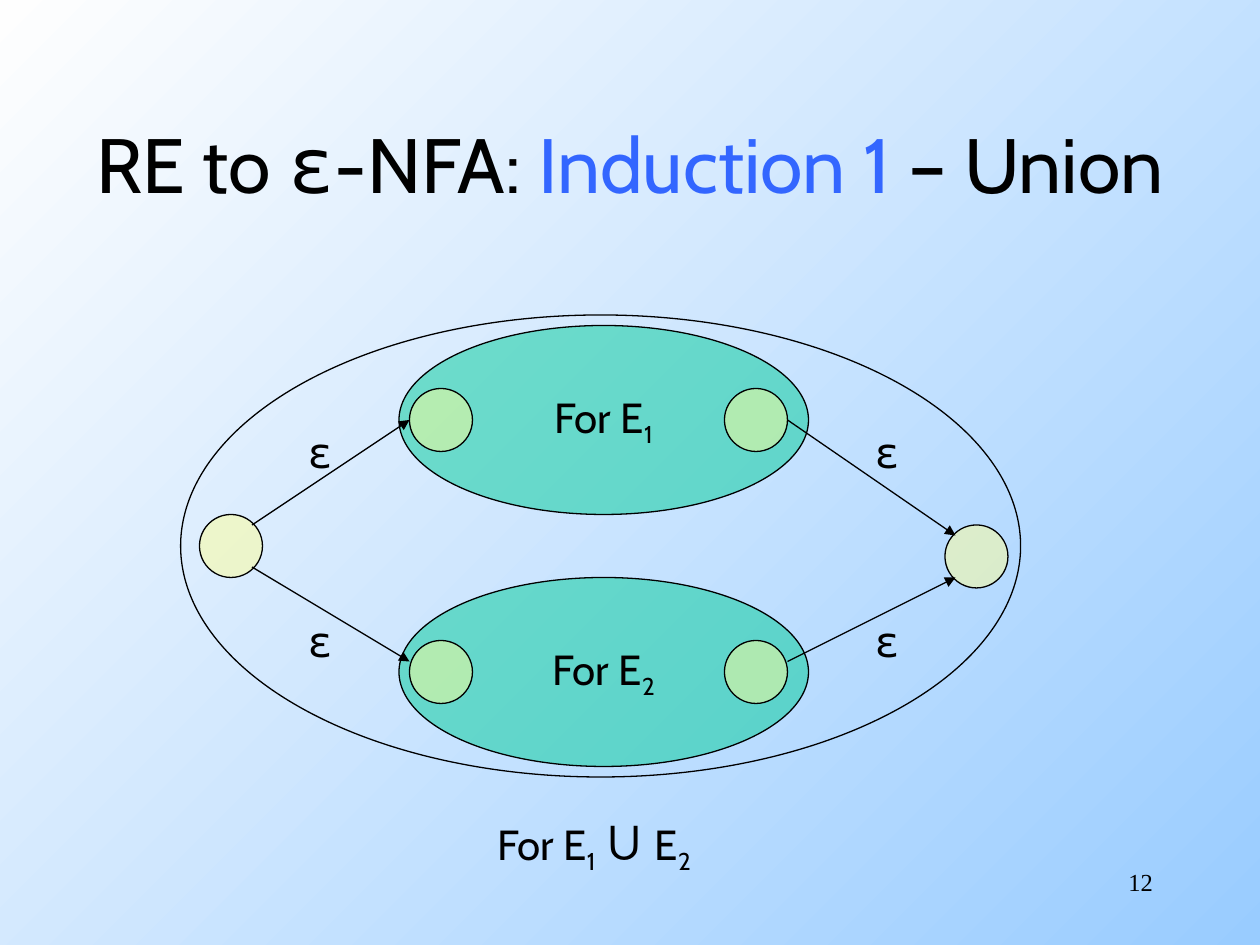
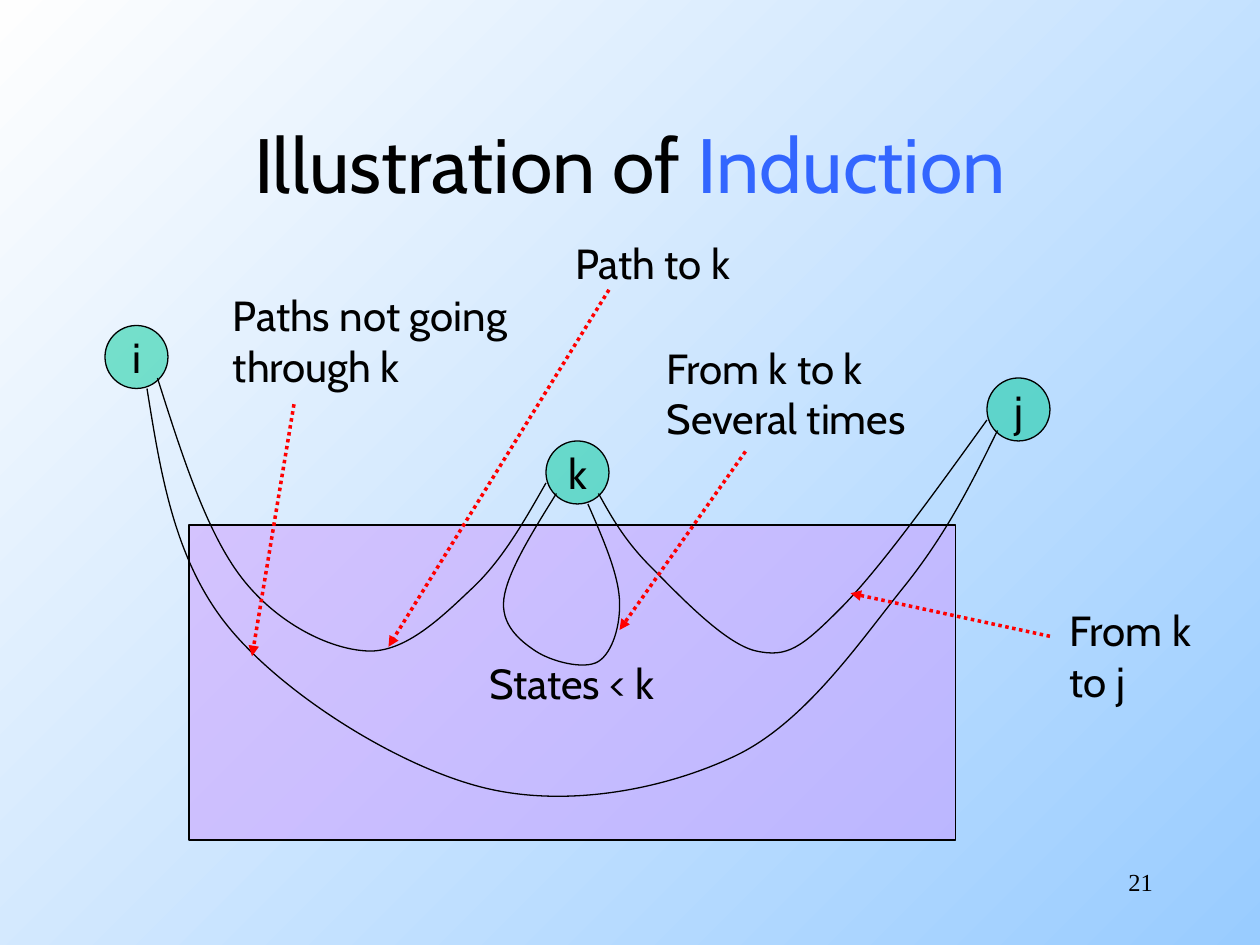
from itertools import product

from pptx import Presentation
from pptx.dml.color import RGBColor
from pptx.enum.dml import MSO_LINE
from pptx.enum.shapes import MSO_CONNECTOR, MSO_SHAPE
from pptx.enum.text import MSO_ANCHOR as ANCHOR, MSO_AUTO_SIZE as AUTO, PP_ALIGN as ALIGN
from pptx.oxml.ns import qn
from pptx.oxml.xmlchemy import OxmlElement as Element

PX = 7620
BLACK, BLUE, RED = "000000", "3366FF", "FF0000"
GREEN, YELLOW, PURPLE = "00CC99", "FFFF99", "CC99FF"
SKY, WHITE = "99CCFF", "FEFEFE"
BODY, GREEK, SERIF, SANS = "Cabin", "DejaVu Sans Mono", "Times New Roman", "Arial"

HIGHLIGHT = {"color": BLUE}
EPSILON = {"font": GREEK}
SUB = {"sub": True}
CUP = {"font": SANS, "size": 32}
NODE = 60

UNION_TITLE = [("RE to ", {}), ("ε", EPSILON), ("-NFA: ", {}),
               ("Induction 1", HIGHLIGHT), (" – Union", {})]
SUBMACHINES = [("1", 310), ("2", 550)]
UNION_LABEL = [("For E", {}), ("1", SUB), (" ", {}), ("∪", CUP), (" E", {}), ("2", SUB)]
OUTER_STATES = [(190, 490), (900, 500)]
EPSILON_ARROWS = [
    ((240, 500), (390, 400)),
    ((240, 540), (390, 630)),
    ((750, 400), (910, 510)),
    ((750, 630), (910, 550)),
]

PATHS_TITLE = [("Illustration of ", {}), ("Induction", HIGHLIGHT)]
STATES = [("k", 520, 420), ("i", 100, 310), ("j", 940, 360)]
STATE_PATHS = [
    [(140, 370), (220, 600), (460, 750), (700, 720), (860, 560), (950, 410)],
    [(150, 360), (230, 550), (350, 620), (450, 560), (520, 460)],
    [(530, 470), (480, 570), (510, 620), (570, 630), (590, 570), (560, 480)],
    [(570, 470), (620, 540), (720, 620), (800, 580), (940, 400)],
]
CALLOUTS = [
    (["Paths not going", "through k"], (210, 270, 322, 108), (280, 385), (240, 625)),
    (["From k", "to j"], (1007, 570, 155, 108), (1000, 606), (810, 565)),
    (["From k to k", "Several times"], (623, 320, 275, 108), (710, 430), (590, 600)),
    (["Path to k"], (536, 220, 191, 60), (580, 276), (370, 616)),
]


def rgb(color):
    return RGBColor.from_string(color)


def emu(values):
    return [round(v * PX) for v in values]


def write(tf, paragraphs, size=24, font=BODY, align=ALIGN.LEFT):
    for i, runs in enumerate(paragraphs):
        p = tf.add_paragraph() if i else tf.paragraphs[0]
        p.alignment = align
        for text, style in runs:
            r = p.add_run()
            r.text = text
            r.font.name = style.get("font", font)
            r.font.size = style.get("size", size) * 12700
            r.font.color.rgb = rgb(style.get("color", BLACK))
            if style.get("sub"):
                r.font._element.set("baseline", "-25000")


def add_text(s, box, paragraphs, wrap=False, anchor=ANCHOR.TOP, **style):
    tf = s.shapes.add_textbox(*emu(box)).text_frame
    tf.word_wrap = wrap
    tf.auto_size = AUTO.NONE if wrap else AUTO.SHAPE_TO_FIT_TEXT
    tf.vertical_anchor = anchor
    write(tf, paragraphs, **style)


def outline(sp, color=BLACK, width=0.75):
    sp.line.color.rgb = rgb(color)
    sp.line.width = round(width * 12700)


def add_shape(s, kind, box, color=None, runs=()):
    sp = s.shapes.add_shape(kind, *emu(box))
    sp.shadow.inherit = False
    if color:
        sp.fill.solid()
        sp.fill.fore_color.rgb = rgb(color)
        alpha = Element("a:alpha")
        alpha.set("val", "50000")
        sp._element.spPr.find(".//" + qn("a:srgbClr")).append(alpha)
    else:
        sp.fill.background()
    outline(sp)
    if runs:
        tf = sp.text_frame
        tf.word_wrap = False
        tf.vertical_anchor = ANCHOR.MIDDLE
        write(tf, [runs], align=ALIGN.CENTER)


def add_oval(s, box, color=None, runs=()):
    add_shape(s, MSO_SHAPE.OVAL, box, color, runs)


def add_arrow(s, start, end, color=BLACK, width=0.75, dash=None):
    cx = s.shapes.add_connector(MSO_CONNECTOR.STRAIGHT, *emu(start + end))
    outline(cx, color, width)
    if dash:
        cx.line.dash_style = dash
    tail = Element("a:tailEnd")
    tail.set("type", "triangle")
    cx.line._get_or_add_ln().append(tail)
    cx._element.spPr.append(Element("a:effectLst"))


def middle(a, b):
    return tuple((u + v) / 2 for u, v in zip(a, b))


def bezier_points(knots):
    points = []
    for before, knot, after in zip(knots, knots[1:], knots[2:]):
        slope = [(v - u) / 6 for u, v in zip(before, after)]
        points.append(tuple(k - d for k, d in zip(knot, slope)))
        points.append(knot)
        points.append(tuple(k + d for k, d in zip(knot, slope)))
    first, last = knots[0], knots[-1]
    return [first, middle(first, points[0]), *points, middle(points[-1], last), last]


def add_curve(s, knots):
    points = [emu(point) for point in bezier_points(knots)]
    builder = s.shapes.build_freeform(*points[0])
    builder.add_line_segments(points[1:], close=False)
    sp = builder.convert_to_shape()
    outlines = sp._element.spPr.find(".//" + qn("a:path"))
    lines = outlines.findall(qn("a:lnTo"))
    for i in range(0, len(lines), 3):
        curve = Element("a:cubicBezTo")
        for line in lines[i:i + 3]:
            curve.append(line[0])
            outlines.remove(line)
        outlines.append(curve)
    sp.shadow.inherit = False
    sp.fill.background()
    outline(sp)


def add_slide(prs, title, title_box, number):
    s = prs.slides.add_slide(prs.slide_layouts[6])
    fill = s.background.fill
    fill.gradient()
    fill.gradient_angle = 135
    for stop, color, position in zip(fill.gradient_stops, (SKY, WHITE), (0, 1)):
        stop.color.rgb = rgb(color)
        stop.position = position
    add_text(s, title_box, [title], wrap=True, anchor=ANCHOR.MIDDLE, size=44, align=ALIGN.CENTER)
    add_text(s, (860, 820, 250, 60), [[(number, {})]], wrap=True,
             size=14, font=SERIF, align=ALIGN.RIGHT)
    return s


def union_slide(prs):
    s = add_slide(prs, UNION_TITLE, (0, 80, 1200, 150), "12")
    for index, top in SUBMACHINES:
        add_oval(s, (380, top, 390, 180), GREEN, [("For E", {}), (index, SUB)])
        for left in (690, 390):
            add_oval(s, (left, top + 60, NODE, NODE), YELLOW)
    add_oval(s, (172, 300, 800, 440))
    add_text(s, (462, 760, 230, 80), [UNION_LABEL])
    for left, top in OUTER_STATES:
        add_oval(s, (left, top, NODE, NODE), YELLOW)
    for start, end in EPSILON_ARROWS:
        add_arrow(s, start, end)
    for left, top in product((281, 821), (400, 580)):
        add_text(s, (left, top, 43, 60), [[("ε", EPSILON)]])


def paths_slide(prs):
    s = add_slide(prs, PATHS_TITLE, (90, 80, 1020, 150), "21")
    add_shape(s, MSO_SHAPE.RECTANGLE, (180, 500, 730, 300), PURPLE, [("States < k", {})])
    for name, left, top in STATES:
        add_oval(s, (left, top, NODE, NODE), GREEN, [(name, {})])
    for knots in STATE_PATHS:
        add_curve(s, knots)
    for lines, box, start, end in CALLOUTS:
        add_text(s, box, [[(line, {})] for line in lines])
        add_arrow(s, start, end, RED, 2, MSO_LINE.ROUND_DOT)


def main():
    prs = Presentation()
    prs.slide_width, prs.slide_height = emu((1200, 900))
    union_slide(prs)
    paths_slide(prs)
    prs.save("out.pptx")


if __name__ == "__main__":
    main()
